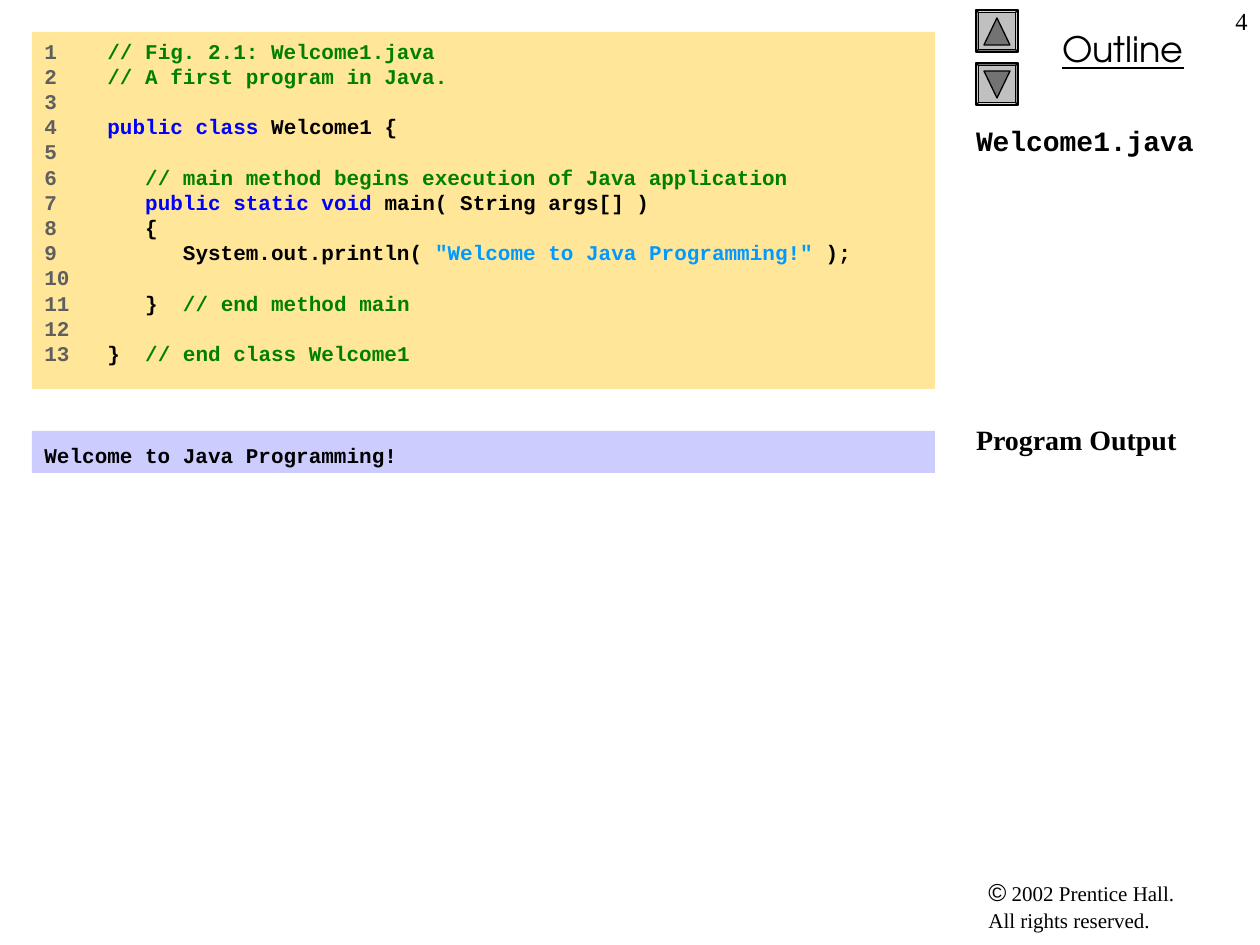
from dataclasses import dataclass

from pptx import Presentation
from pptx.dml.color import RGBColor
from pptx.enum.shapes import MSO_SHAPE
from pptx.enum.text import MSO_ANCHOR, MSO_AUTO_SIZE, PP_ALIGN
from pptx.util import Emu, Pt

PX = 914400 // 126
BEVEL, TRIANGLE = MSO_SHAPE.BEVEL, MSO_SHAPE.ISOSCELES_TRIANGLE
LEFT, CENTER, RIGHT = PP_ALIGN.LEFT, PP_ALIGN.CENTER, PP_ALIGN.RIGHT
TITLE_ONLY = 5


@dataclass(frozen=True)
class Theme:
    black: str = "000000"
    number: str = "5F5F5F"
    comment: str = "008000"
    keyword: str = "0000FF"
    string: str = "0099FF"
    code_fill: str = "FFE699"
    output_fill: str = "CCCCFF"
    button: str = "C0C0C0"
    arrow: str = "737373"
    mono: str = "Courier New"
    serif: str = "Times New Roman"
    sans: str = "Arial"
    display: str = "TeX Gyre Adventor"
    small: int = 12
    medium: int = 14
    large: int = 16
    heading: int = 20


THEME = Theme()

CODE = [
    [("// Fig. 2.1: Welcome1.java", THEME.comment)],
    [("// A first program in Java.", THEME.comment)],
    [],
    [("public class ", THEME.keyword), ("Welcome1 {", THEME.black)],
    [],
    [("   // main method begins execution of Java application", THEME.comment)],
    [("   public static void", THEME.keyword),
     (" main( String args[] )", THEME.black)],
    [("   {", THEME.black)],
    [("      System.out.println( ", THEME.black),
     ('"Welcome to Java Programming!"', THEME.string), (" );", THEME.black)],
    [],
    [("   }  ", THEME.black), ("// end method main", THEME.comment)],
    [],
    [("}  ", THEME.black), ("// end class Welcome1", THEME.comment)],
]


def rgb(color):
    return RGBColor.from_string(color)


def to_emu(box):
    return [Emu(length * PX) for length in box]


def style(font, name, size, bold=False, color=THEME.black):
    font.name, font.size, font.bold = name, Pt(size), bold
    font.color.rgb = rgb(color)


def add_text_box(page, box, fill=None):
    shape = page.shapes.add_textbox(*to_emu(box))
    if fill:
        shape.fill.solid()
        shape.fill.fore_color.rgb = rgb(fill)
    shape.text_frame.word_wrap = True
    return shape.text_frame


def add_line(page, box, text, name, size, align=LEFT, bold=False, fill=None):
    """Add a box with one line of text and return its paragraph."""
    para = add_text_box(page, box, fill).paragraphs[0]
    para.text, para.alignment = text, align
    style(para.font, name, size, bold)
    return para


def place_title(page, box):
    """Stack the file name and the output heading beside their panels."""
    title = page.shapes.title
    title.left, title.top, title.width, title.height = to_emu(box)
    frame = title.text_frame
    frame.word_wrap, frame.auto_size = True, MSO_AUTO_SIZE.NONE
    frame.vertical_anchor, frame.margin_left = MSO_ANCHOR.TOP, 0
    frame.text = "Welcome1.java\nProgram Output"
    for para, name, gap in zip(frame.paragraphs,
                               (THEME.mono, THEME.serif), (0, 151)):
        para.alignment, para.line_spacing = LEFT, Pt(20)
        para.space_before = Pt(gap)
        style(para.font, name, THEME.large, bold=True)


def add_code(page, box):
    frame = add_text_box(page, box, THEME.code_fill)
    for number, spans in enumerate(CODE, 1):
        para = frame.paragraphs[0] if number == 1 else frame.add_paragraph()
        para.line_spacing = Pt(14.4)
        style(para.font, THEME.mono, THEME.small, bold=True)
        label = f"{number:<5}" if spans else str(number)
        for text, color in [(label, THEME.number), *spans]:
            span = para.add_run()
            span.text = text
            style(span.font, THEME.mono, THEME.small, True, color)


def add_output(page, box):
    para = add_line(page, box, "Welcome to Java Programming!", THEME.mono,
                    THEME.small, bold=True, fill=THEME.output_fill)
    para.line_spacing = Pt(17.2)


def add_filled(page, kind, box, color, rotation):
    shape = page.shapes.add_shape(kind, *to_emu(box))
    shape.shadow.inherit = False
    shape.fill.solid()
    shape.fill.fore_color.rgb = rgb(color)
    shape.line.color.rgb = rgb(THEME.black)
    shape.line.width = Pt(0.75)
    shape.rotation = rotation
    return shape


def add_button(page, box, turn, arrow_turn):
    left, top, width, height = box
    button = add_filled(page, BEVEL, box, THEME.button, turn)
    button.adjustments[0] = 0.06
    arrow_box = (left + 8, top + 8, width - 16, height - 15)
    add_filled(page, TRIANGLE, arrow_box, THEME.arrow, arrow_turn)


def add_outline(page, box):
    """Add the navigation buttons and the underlined heading next to them."""
    left, top, width, height = box
    for row, (turn, arrow_turn) in enumerate([(90, 0), (270, 180)]):
        add_button(page, (left, top + 53 * row, 42, 42), turn, arrow_turn)
    heading = add_line(page, (left + 10, top + 11, width - 10, 55), "Outline",
                       THEME.display, THEME.heading, CENTER)
    heading.font.underline = True


def add_copyright(page, box):
    para = add_text_box(page, box).paragraphs[0]
    para.line_spacing = Pt(15)
    style(para.font, THEME.serif, THEME.small)
    symbol = para.add_run()
    symbol.text = "©"
    style(symbol.font, THEME.sans, THEME.medium)
    owner = para.add_run()
    owner.text = " 2002 Prentice Hall."
    para.add_line_break()
    rights = para.add_run()
    rights.text = "All rights reserved."
    for span in (owner, rights):
        style(span.font, THEME.serif, THEME.small)


def main():
    deck = Presentation()
    deck.slide_width, deck.slide_height = to_emu((1260, 945))
    page = deck.slides.add_slide(deck.slide_layouts[TITLE_ONLY])
    add_copyright(page, (976, 874, 274, 68))
    add_outline(page, (976, 10, 284, 95))
    place_title(page, (976, 116, 284, 756))
    add_code(page, (32, 32, 903, 357))
    add_output(page, (32, 431, 903, 42))
    add_line(page, (1197, 0, 63, 63), "4", THEME.serif, THEME.medium, RIGHT)
    deck.save("out.pptx")


if __name__ == "__main__":
    main()
